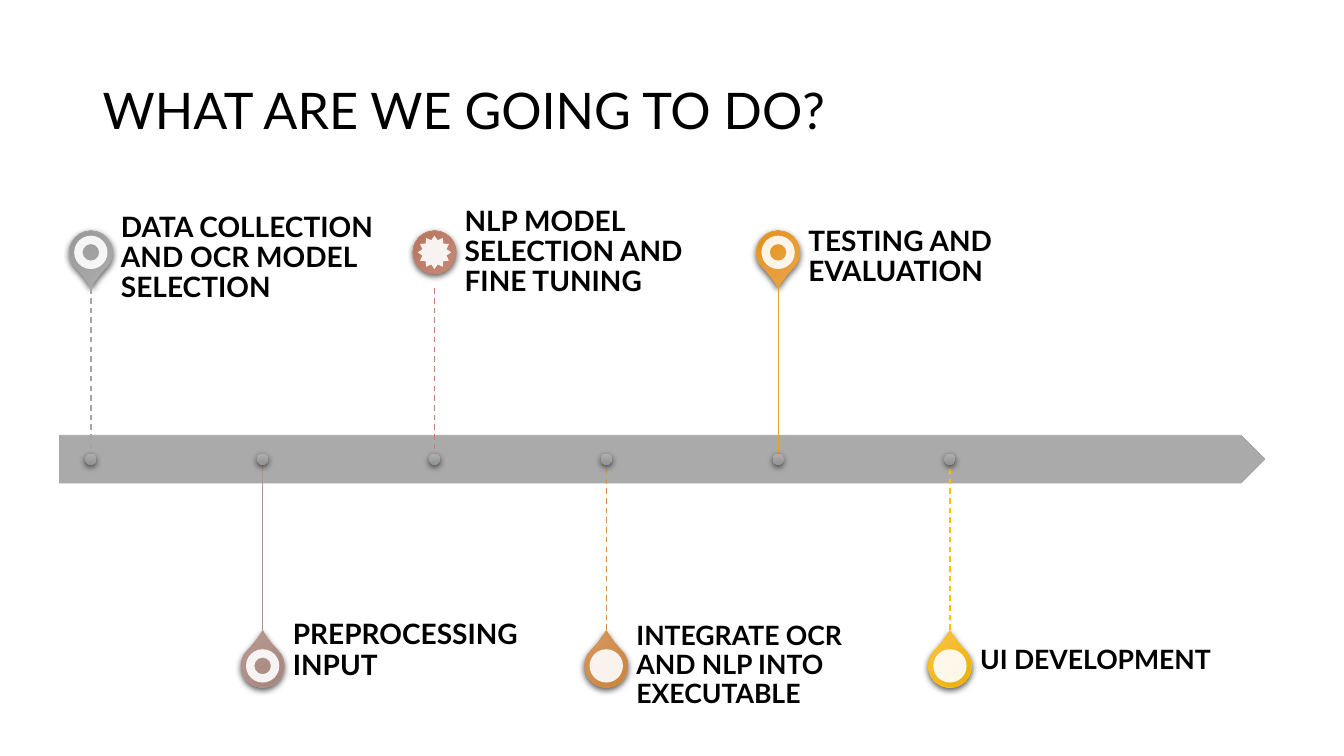
from lxml.etree import SubElement
from pptx import Presentation
from pptx.dml.color import RGBColor
from pptx.enum.dml import MSO_LINE
from pptx.enum.shapes import MSO_CONNECTOR, MSO_SHAPE
from pptx.enum.text import MSO_ANCHOR
from pptx.oxml.ns import qn
from pptx.util import Cm, Pt

GREY = ("AFAFAF", "A5A5A5", "939393")
PIN, HOLE, DOT = 1.09, 0.84, 0.28
PIN_OFFSET, LINE_LENGTH = 5.21, 4.41
FIRST_X, STEP = 2.29, 4.33

# label, size, label shift, (light, line, dark), pin, hole, dashed
MILESTONES = [
    ("DATA COLLECTION AND OCR MODEL SELECTION", 20, 0.15, GREY,
     MSO_SHAPE.TEAR, MSO_SHAPE.DONUT, True),
    ("PREPROCESSING INPUT", 20, -0.38, ("BA9D97", "B1938A", "A17F77"),
     MSO_SHAPE.TEAR, MSO_SHAPE.DONUT, False),
    ("NLP MODEL SELECTION AND FINE TUNING", 20, 0, ("C7907E", "C0826C", "B36F57"),
     MSO_SHAPE.OVAL, MSO_SHAPE.STAR_12_POINT, True),
    ("INTEGRATE OCR AND NLP INTO EXECUTABLE", 19, 0, ("D89A66", "D28E4B", "C87F35"),
     MSO_SHAPE.TEAR, MSO_SHAPE.OVAL, True),
    ("TESTING AND EVALUATION", 20, 0.13, ("ECA652", "E7A027", "E18F0F"),
     MSO_SHAPE.TEAR, MSO_SHAPE.DONUT, False),
    ("UI DEVELOPMENT", 19, -0.12, ("FFC74B", "FFC000", "E3AB00"),
     MSO_SHAPE.TEAR, MSO_SHAPE.OVAL, True),
]


def rgb(color):
    return RGBColor.from_string(color)


def add_text(s, text, x, y, w, h, size, bold=False, insets=None):
    tf = s.shapes.add_textbox(Cm(x), Cm(y), Cm(w), Cm(h)).text_frame
    tf.word_wrap = True
    tf.vertical_anchor = MSO_ANCHOR.MIDDLE
    if insets:
        tf.margin_left, tf.margin_top, tf.margin_right, tf.margin_bottom = map(Cm, insets)
    p = tf.paragraphs[0]
    p.line_spacing = 0.9
    r = p.add_run()
    r.text = text
    r.font.name, r.font.size, r.font.bold = "Lato", Pt(size), bold
    r.font.color.rgb = rgb("000000")


def add_plain(s, kind, x, y, w, h, fill, line=None):
    sp = s.shapes.add_shape(kind, Cm(x), Cm(y), Cm(w), Cm(h))
    sp.shadow.inherit = False
    sp.fill.solid()
    sp.fill.fore_color.rgb = rgb(fill)
    if line:
        sp.line.color.rgb = rgb(line)
        sp.line.width = Pt(0.5)
    else:
        sp.line.fill.background()
    return sp


def add_centred(s, kind, cx, cy, size, fill, line=None):
    return add_plain(s, kind, cx - size / 2, cy - size / 2, size, size, fill, line)


def add_raised(s, kind, cx, cy, size, colors, line=None):
    """Add a shape with a downward gradient and a soft shadow."""
    light, _, dark = colors
    sp = add_centred(s, kind, cx, cy, size, light, line)
    sp.fill.gradient()
    sp.fill.gradient_angle = 270
    for stop, color in zip(sp.fill.gradient_stops, (light, dark)):
        stop.color.rgb = rgb(color)
    effects = sp._element.spPr.find(qn("a:effectLst"))
    shadow = SubElement(effects, qn("a:outerShdw"), blurRad=str(Pt(4.5)),
                        dist=str(Pt(1.5)), dir="5400000", algn="ctr", rotWithShape="0")
    black = SubElement(shadow, qn("a:srgbClr"), val="000000")
    SubElement(black, qn("a:alpha"), val="63000")
    return sp


def add_stem(s, x, y1, y2, color, dashed):
    stem = s.shapes.add_connector(MSO_CONNECTOR.STRAIGHT, Cm(x), Cm(y1), Cm(x), Cm(y2))
    stem.line.color.rgb = rgb(color)
    stem.line.width = Pt(1 if dashed else 0.5)
    if dashed:
        stem.line.dash_style = MSO_LINE.DASH
    SubElement(stem._element.spPr, qn("a:effectLst"))


def add_milestone(s, x, axis_y, side, label, size, shift, colors, pin_kind, hole_kind, dashed):
    """Place one milestone above (side -1) or below (side 1) the axis."""
    pin_y = axis_y + side * PIN_OFFSET
    pin = add_raised(s, pin_kind, x, pin_y, PIN, colors, colors[1])
    pin.rotation = 135 if side < 0 else 315
    if pin_kind == MSO_SHAPE.TEAR:
        pin.adjustments[0] = 1.15
    hole = add_centred(s, hole_kind, x, pin_y, HOLE, "FFFFFF")
    white = hole._element.spPr.find(qn("a:solidFill"))[0]
    SubElement(white, qn("a:alpha"), val="90000")
    add_text(s, label, x + 0.76, pin_y + shift - 0.78, 7.16, 1.56, size,
             bold=True, insets=(0, 0, 0.35, 0))
    add_stem(s, x, axis_y, axis_y + side * LINE_LENGTH, colors[1], dashed)
    add_raised(s, MSO_SHAPE.OVAL, x, axis_y, DOT, GREY)


def add_timeline(s, x, y, w, h):
    add_plain(s, MSO_SHAPE.PENTAGON, x, y, w, h, "AAAAAA", "A5A5A5")
    for i, milestone in enumerate(MILESTONES):
        side = 1 if i % 2 else -1
        add_milestone(s, FIRST_X + i * STEP, y + h / 2, side, *milestone)


def main():
    prs = Presentation()
    prs.slide_width, prs.slide_height = Cm(33.87), Cm(19.05)
    s = prs.slides.add_slide(prs.slide_layouts[6])
    add_text(s, "WHAT ARE WE GOING TO DO?", 2.34, 1.02, 29.21, 3.68, 36)
    add_timeline(s, 1.5, 10.97, 30.38, 1.2)
    prs.save("out.pptx")


if __name__ == "__main__":
    main()
